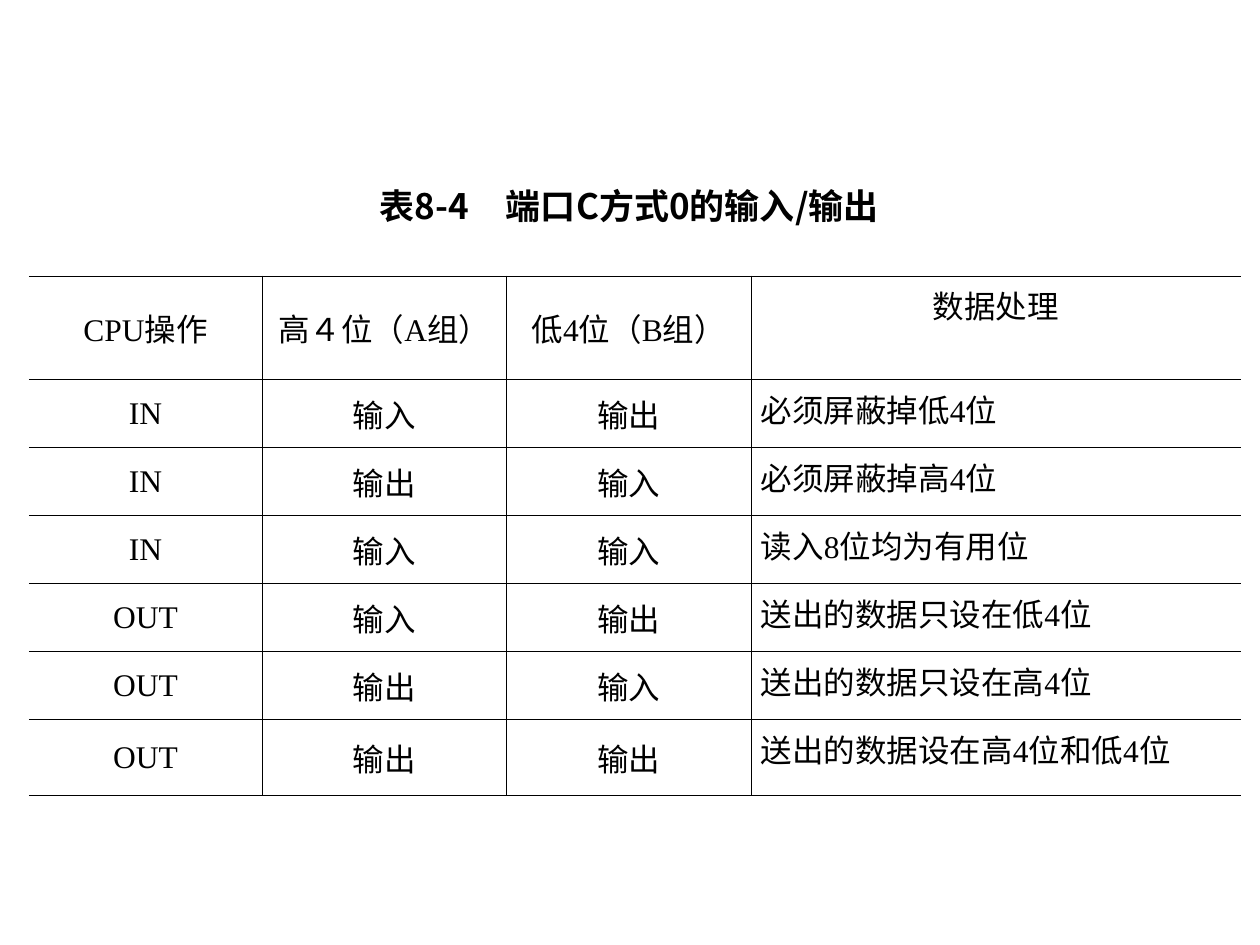
from lxml import etree
from pptx import Presentation, util as u
from pptx.dml.color import RGBColor
from pptx.enum import text
from pptx.oxml.ns import qn

BLACK = RGBColor(0x00, 0x00, 0x00)
LATIN, CJK = "Times New Roman", "Noto Sans CJK SC"
RULE_WIDTH = u.Pt(0.45)

TITLE = "表8-4\t端口C方式0的输入/输出"
HEADINGS = ("CPU操作", "高４位（A组）", "低4位（B组）", "数据处理")
OPERATIONS = (
    ("IN", "输入", "输出", "必须屏蔽掉低4位"),
    ("IN", "输出", "输入", "必须屏蔽掉高4位"),
    ("IN", "输入", "输入", "读入8位均为有用位"),
    ("OUT", "输入", "输出", "送出的数据只设在低4位"),
    ("OUT", "输出", "输入", "送出的数据只设在高4位"),
    ("OUT", "输出", "输出", "送出的数据设在高4位和低4位"),
)
COLUMN_WIDTHS = (1.85, 1.94, 1.94, 3.89)
ROW_HEIGHTS = (0.6, 0.54, 0.54, 0.54, 0.54, 0.54, 0.6)


def apply(target, formats):
    for name, value in formats.items():
        setattr(target, name, value)


def write(paragraph, words, latin, size, bold):
    run = paragraph.add_run()
    run.text = words
    apply(run.font, {"name": latin, "size": u.Pt(size), "bold": bold})
    run.font.color.rgb = BLACK
    east_asian = etree.SubElement(run.font._element, qn("a:ea"))
    east_asian.set("typeface", CJK)


def rule_cell(cell, ruled_sides):
    """Draw the named sides of a cell and leave the others open."""
    properties = cell._tc.get_or_add_tcPr()
    for side in "LRTB":
        line = etree.SubElement(properties, qn(f"a:ln{side}"), w=str(int(RULE_WIDTH)))
        if side in ruled_sides:
            fill = etree.SubElement(line, qn("a:solidFill"))
            etree.SubElement(fill, qn("a:srgbClr"), val=str(BLACK))
        else:
            etree.SubElement(line, qn("a:noFill"))
    cell.fill.background()


def place_title(slide, left, top, width, height):
    title = slide.shapes.title
    apply(title, {"left": left, "top": top, "width": width, "height": height})
    apply(title.text_frame, {
        "auto_size": text.MSO_AUTO_SIZE.NONE,
        "vertical_anchor": text.MSO_ANCHOR.MIDDLE,
        "word_wrap": True,
    })
    paragraph = title.text_frame.paragraphs[0]
    paragraph.alignment = text.PP_ALIGN.CENTER
    # One tab stop to the inch
    stops = etree.SubElement(paragraph._p.get_or_add_pPr(), qn("a:tabLst"))
    for inch in range(8):
        etree.SubElement(stops, qn("a:tab"), pos=str(int(u.Inches(inch))), algn="l")
    write(paragraph, TITLE, CJK, 20, True)


def place_operations(slide, left, top, width, height):
    rows = (HEADINGS, *OPERATIONS)
    last = len(HEADINGS) - 1
    table = slide.shapes.add_table(len(rows), len(HEADINGS), left, top, width, height).table
    apply(table, {"first_row": False, "horz_banding": False})
    for column, share in zip(table.columns, COLUMN_WIDTHS):
        column.width = int(width * share / sum(COLUMN_WIDTHS))
    for row, share in zip(table.rows, ROW_HEIGHTS):
        row.height = int(height * share / sum(ROW_HEIGHTS))

    for r, row in enumerate(rows):
        for c, words in enumerate(row):
            cell = table.cell(r, c)
            rule_cell(cell, "TB" + ("L" if c > 0 else "") + ("R" if c < last else ""))
            apply(cell, {
                "margin_left": u.Inches(0.08),
                "margin_right": u.Inches(0.08),
                "vertical_anchor": text.MSO_ANCHOR.TOP if c == last else text.MSO_ANCHOR.MIDDLE,
            })
            paragraph = cell.text_frame.paragraphs[0]
            is_note = r > 0 and c == last
            apply(paragraph, {
                "alignment": text.PP_ALIGN.JUSTIFY if is_note else text.PP_ALIGN.CENTER,
                "space_before": u.Pt(1.8),
                "space_after": u.Pt(1.8),
            })
            write(paragraph, words, LATIN, 18, False)


def main():
    deck = Presentation()
    deck.slide_width, deck.slide_height = u.Inches(10), u.Inches(7.5)
    slide = deck.slides.add_slide(deck.slide_layouts[5])
    # Caption above, table of operations below
    place_title(slide, u.Inches(0.7), u.Inches(1.41), u.Inches(8.59), u.Inches(0.44))
    place_operations(slide, u.Inches(0.23), u.Inches(2.19),
                     u.Inches(sum(COLUMN_WIDTHS)), u.Inches(sum(ROW_HEIGHTS)))
    deck.save("out.pptx")


if __name__ == "__main__":
    main()
